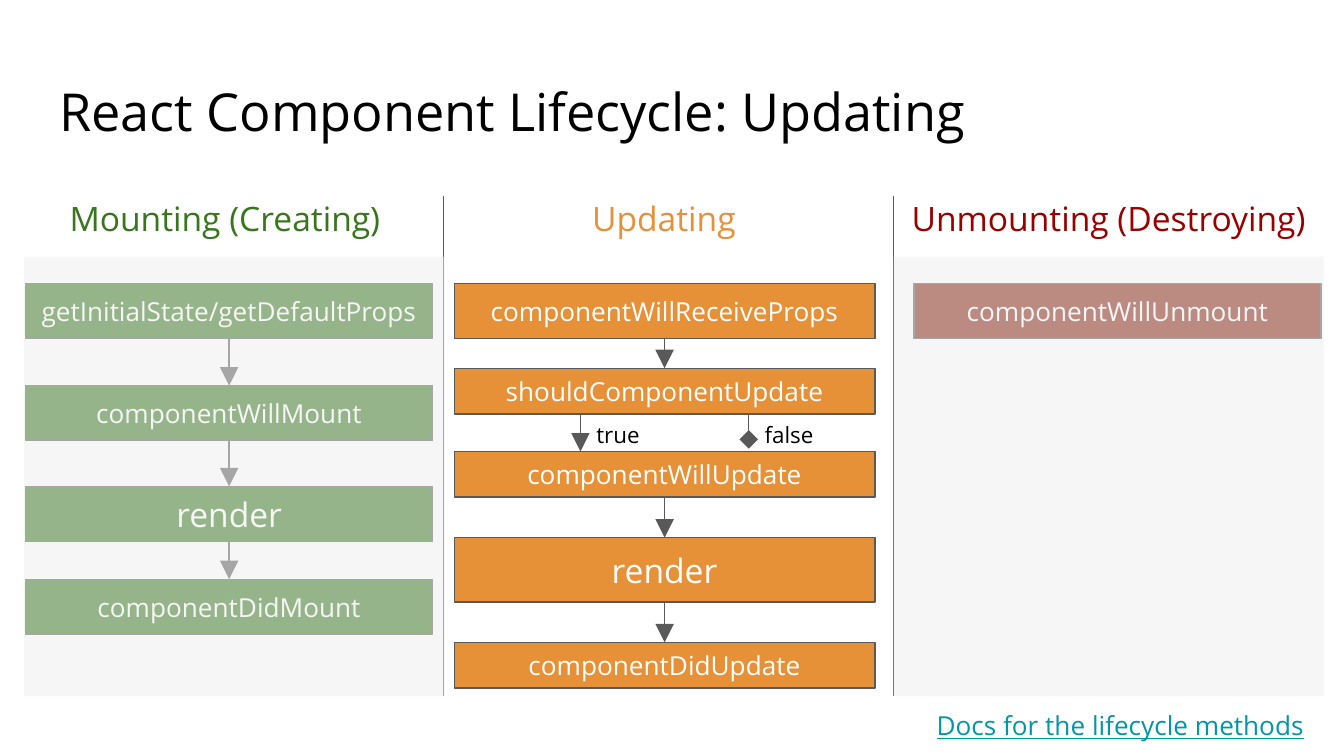
import pptx
import pptx.util
import pptx.dml.color
import pptx.enum.shapes
import pptx.enum.text
import pptx.oxml
import pptx.oxml.ns
from lxml import etree

Inches, Pt = pptx.util.Inches, pptx.util.Pt
RGBColor = pptx.dml.color.RGBColor
ALIGN = pptx.enum.text.PP_ALIGN
ANCHOR = pptx.enum.text.MSO_ANCHOR
RECTANGLE = pptx.enum.shapes.MSO_SHAPE.RECTANGLE
STRAIGHT = pptx.enum.shapes.MSO_CONNECTOR.STRAIGHT
qn = pptx.oxml.ns.qn

FONT = "Open Sans"
BLACK = RGBColor(0x00, 0x00, 0x00)
WHITE = RGBColor(0xFF, 0xFF, 0xFF)
GRAY = RGBColor(0x59, 0x59, 0x59)
VEIL = RGBColor(0xEE, 0xEE, 0xEE)
GREEN = RGBColor(0x38, 0x76, 0x1D)
ORANGE = RGBColor(0xE6, 0x91, 0x38)
RED = RGBColor(0x99, 0x00, 0x00)
BROWN = RGBColor(0x85, 0x20, 0x0C)
TEAL = RGBColor(0x00, 0x97, 0xA7)

TITLE = "React Component Lifecycle: Updating"
DOCS = "Docs for the lifecycle methods"

# Steps: method, top, height, font size. Headings and steps: left, width.
PHASES = [
    {"heading": "Mounting (Creating)", "color": GREEN, "fill": GREEN,
     "heading_span": (0.36, 2.63), "step_span": (0.19, 3.03),
     "steps": [("getInitialState/getDefaultProps", 2.11, 0.41, 14),
               ("componentWillMount", 2.87, 0.41, 14),
               ("render", 3.62, 0.41, 18),
               ("componentDidMount", 4.31, 0.41, 14)]},
    {"heading": "Updating", "color": ORANGE, "fill": ORANGE,
     "heading_span": (3.47, 2.94), "step_span": (3.38, 3.13),
     "steps": [("componentWillReceiveProps", 2.11, 0.41, 14),
               ("shouldComponentUpdate", 2.74, 0.34, 14),
               ("componentWillUpdate", 3.36, 0.34, 14),
               ("render", 4.0, 0.48, 18),
               ("componentDidUpdate", 4.78, 0.34, 14)]},
    {"heading": "Unmounting (Destroying)", "color": RED, "fill": BROWN,
     "heading_span": (6.65, 3.2), "step_span": (6.8, 3.03),
     "steps": [("componentWillUnmount", 2.11, 0.41, 14)]},
]
DECISION = "shouldComponentUpdate"
# Answer, share of the decision's width, arrow length, arrowhead
BRANCHES = [("true", 0.3, 0.28, "triangle"), ("false", 0.7, 0.19, "diamond")]

DIVIDERS = (3.3, 6.65)
COLUMN_TOP, VEIL_TOP, COLUMN_BOTTOM = 1.46, 1.91, 5.18
VEILS = [(0.18, 3.13), (6.65, 3.2)]
VEIL_OPACITY = 52

deck = pptx.Presentation()
deck.slide_width = Inches(10)
deck.slide_height = deck.slide_width * 9 // 16
slide = deck.slides.add_slide(deck.slide_layouts[5])
shapes = slide.shapes


def write(shape, text, size, color, align=ALIGN.LEFT, anchor=ANCHOR.TOP, underline=None):
    frame = shape.text_frame
    frame.word_wrap = True
    frame.auto_size = pptx.enum.text.MSO_AUTO_SIZE.NONE
    frame.vertical_anchor = anchor
    frame.margin_left = frame.margin_right = Inches(0.1)
    frame.margin_top = frame.margin_bottom = Inches(0.1)
    paragraph = frame.paragraphs[0]
    paragraph.alignment = align
    run = paragraph.add_run()
    run.text = text
    run.font.name, run.font.size = FONT, Pt(size)
    run.font.color.rgb, run.font.underline = color, underline


def add_label(left, top, width, height, *text, **style):
    box = shapes.add_textbox(Inches(left), Inches(top), Inches(width), Inches(height))
    write(box, *text, **style)


def add_rectangle(left, top, width, height, fill):
    rectangle = shapes.add_shape(RECTANGLE, Inches(left), Inches(top),
                                 Inches(width), Inches(height))
    rectangle.shadow.inherit = False
    rectangle.fill.solid()
    rectangle.fill.fore_color.rgb = fill
    return rectangle


def add_line(x1, y1, x2, y2, head=None):
    line = shapes.add_connector(STRAIGHT, Inches(x1), Inches(y1), Inches(x2), Inches(y2))
    line.line.color.rgb, line.line.width = GRAY, Pt(0.75)
    if head:
        outline = line._element.spPr.find(qn("a:ln"))
        etree.SubElement(outline, qn("a:tailEnd"), type=head, w="lg", len="lg")
    etree.SubElement(line._element.spPr, qn("a:effectLst"))
    return line


def add_step(left, width, fill, step):
    method, top, height, size = step
    box = add_rectangle(left, top, width, height, fill)
    box.line.color.rgb, box.line.width = GRAY, Pt(0.75)
    write(box, method, size, WHITE, ALIGN.CENTER, ANCHOR.MIDDLE)
    return box


def add_branches(left, width, top):
    for answer, share, length, head in BRANCHES:
        x = left + share * width
        add_line(x, top, x, top + length, head)
        add_label(x + 0.02, top - 0.05, 0.73, 0.48, answer, 12, BLACK)


title = shapes.title
title.left, title.top = Inches(0.34), Inches(0.49)
title.width, title.height = Inches(9.32), Inches(0.63)
write(title, TITLE, 28, BLACK)

for x in DIVIDERS:
    add_line(x, COLUMN_TOP, x, COLUMN_BOTTOM)

for phase in PHASES:
    left, width = phase["heading_span"]
    add_label(left, 1.37, width, 0.54, phase["heading"], 18, phase["color"],
              align=ALIGN.CENTER)
    left, width = phase["step_span"]
    steps = phase["steps"]
    boxes = [add_step(left, width, phase["fill"], step) for step in steps]
    for i, (method, top, height, size) in enumerate(steps[:-1]):
        if method == DECISION:
            add_branches(left, width, top + height)
        else:
            arrow = add_line(left, top, left, top, "triangle")
            arrow.begin_connect(boxes[i], 2)
            arrow.end_connect(boxes[i + 1], 0)

add_label(6.87, 5.18, 3.13, 0.44, DOCS, 14, TEAL, underline=True)

for left, width in VEILS:
    veil = add_rectangle(left, VEIL_TOP, width, COLUMN_BOTTOM - VEIL_TOP, VEIL)
    veil.line.fill.background()
    color = veil._element.spPr.find(".//" + qn("a:srgbClr"))
    etree.SubElement(color, qn("a:alpha"), val=str(VEIL_OPACITY * 1000))

deck.save("out.pptx")
